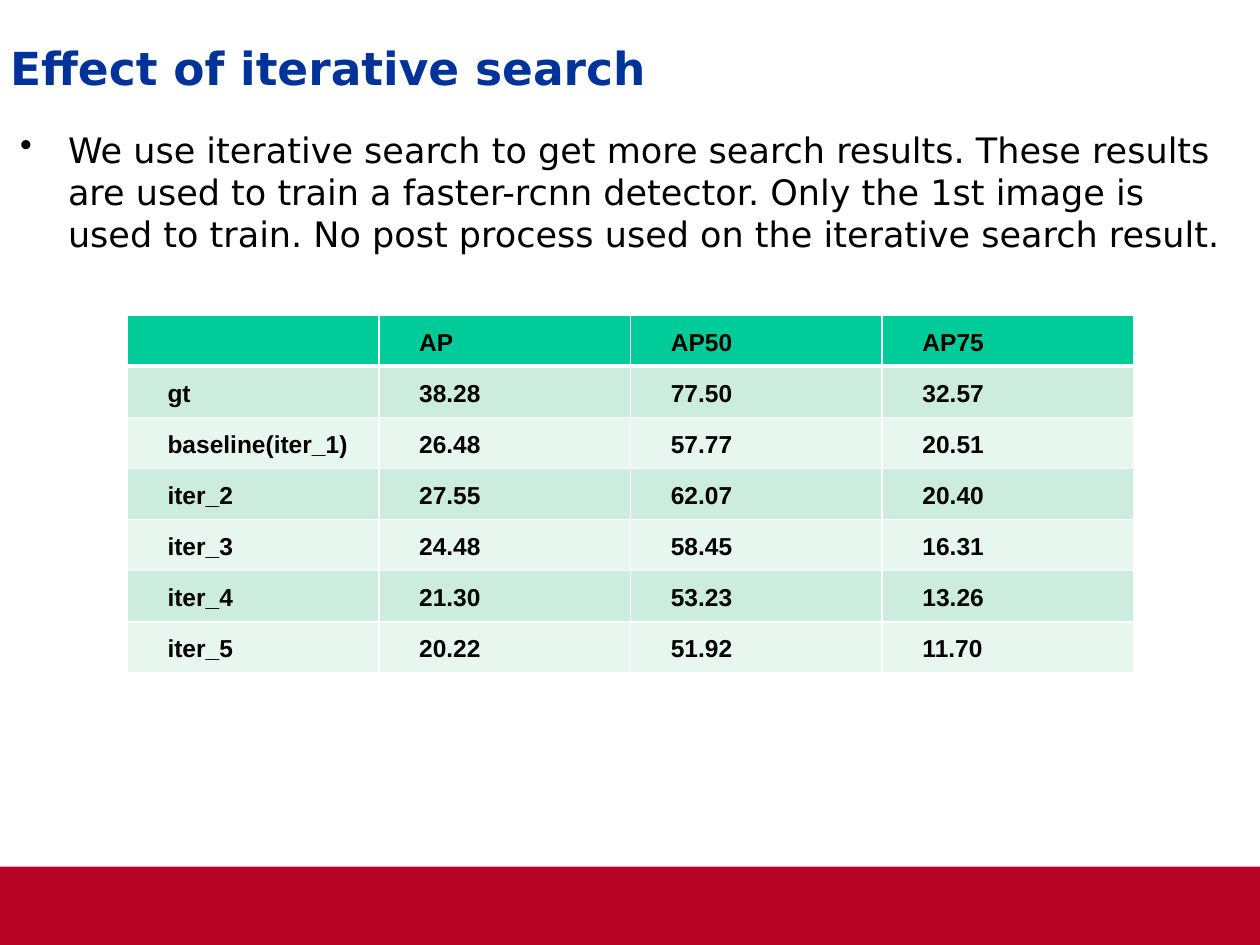
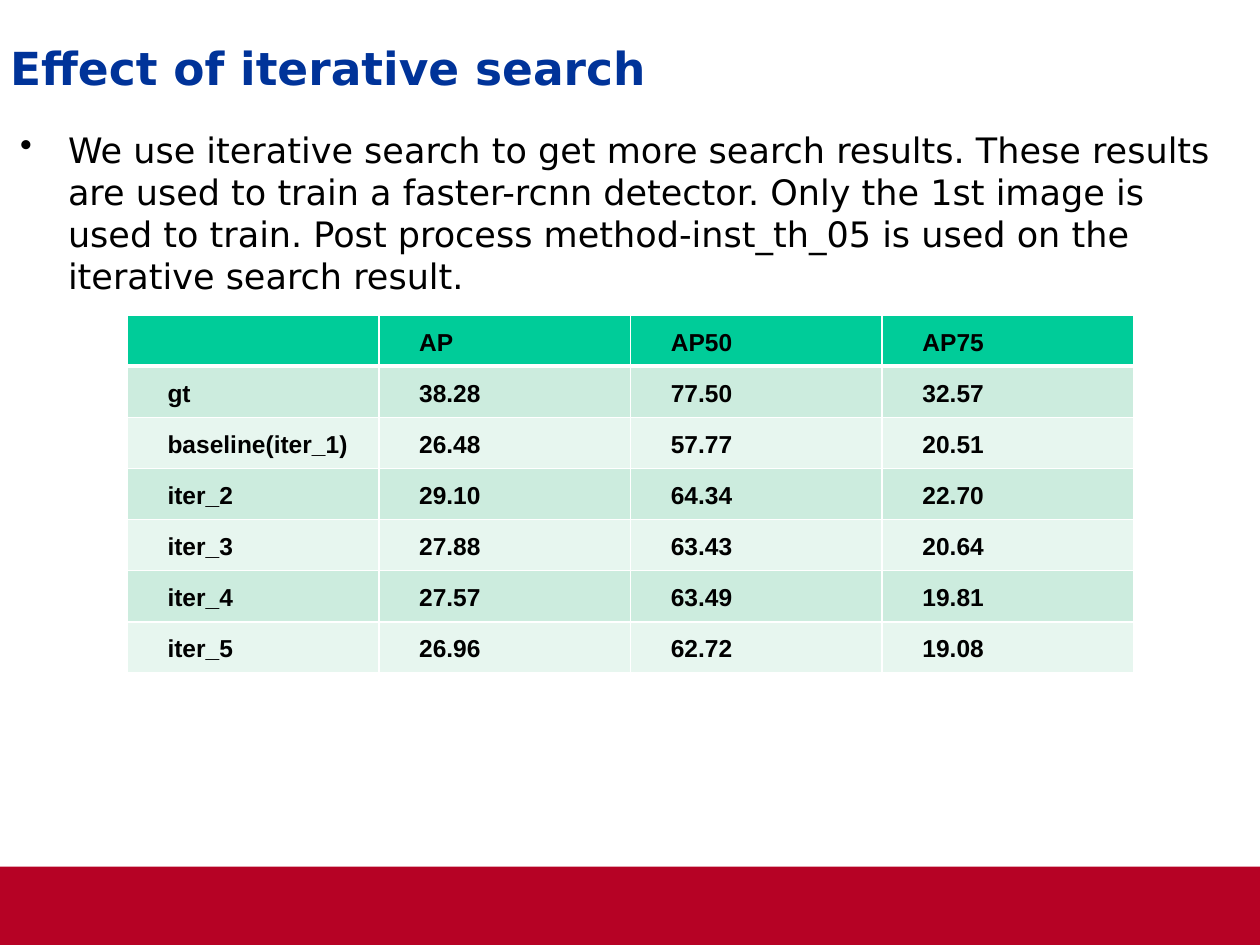
from dataclasses import dataclass

from lxml import etree
from pptx import Presentation
from pptx.dml.color import RGBColor
from pptx.enum.shapes import MSO_SHAPE
from pptx.enum.text import MSO_ANCHOR, PP_ALIGN
from pptx.oxml.ns import qn
from pptx.util import Emu, Inches, Pt

RECTANGLE = MSO_SHAPE.RECTANGLE
MIDDLE, TOP = MSO_ANCHOR.MIDDLE, MSO_ANCHOR.TOP
LEFT, JUSTIFIED = PP_ALIGN.LEFT, PP_ALIGN.JUSTIFY

SLIDE_WIDTH, SLIDE_HEIGHT = Inches(10), Inches(7.5)
WHITE, BLACK = "FFFFFF", "000000"
BAND_RED, TITLE_BLUE = "B60225", "003399"
HEADER_GREEN = "00CC99"
STRIPES = ("CCECDE", "E7F6EF")
TEXT_FONT, TABLE_FONT = "DejaVu Sans", "Arial"

TITLE = "Effect of iterative search"
SETUP = (
    "We use iterative search to get more search results. These results are used "
    "to train a faster-rcnn detector. Only the 1st image is used to train. "
)
HEADER = ("", "AP", "AP50", "AP75")
REFERENCE_ROWS = (
    ("gt", "38.28", "77.50", "32.57"),
    ("baseline(iter_1)", "26.48", "57.77", "20.51"),
)


@dataclass(frozen=True)
class Area:
    left: float
    top: float
    width: float
    height: float

    def lengths(self) -> tuple[Emu, Emu, Emu, Emu]:
        return (
            Emu(round(self.left * SLIDE_WIDTH)),
            Emu(round(self.top * SLIDE_HEIGHT)),
            Emu(round(self.width * SLIDE_WIDTH)),
            Emu(round(self.height * SLIDE_HEIGHT)),
        )


@dataclass(frozen=True)
class TextStyle:
    font: str
    size: int
    color: str
    bold: bool = False
    align: int = LEFT
    line_spacing: float = 1.0


@dataclass(frozen=True)
class Experiment:
    post_process: str
    iterations: tuple[tuple[str, str, str], ...]

    def rows(self) -> list[tuple[str, ...]]:
        numbered = [
            (f"iter_{number}", *scores)
            for number, scores in enumerate(self.iterations, start=2)
        ]
        return [HEADER, *REFERENCE_ROWS, *numbered]


TITLE_AREA = Area(0.008, 0.025, 0.977, 0.105)
BODY_AREA = Area(0.016, 0.136, 0.969, 0.708)
TABLE_AREA = Area(0.101, 1 / 3, 0.799, 0.379)
BAND_AREA = Area(0, 0.917, 1, 0.083)

TITLE_STYLE = TextStyle(TEXT_FONT, 26, TITLE_BLUE, bold=True, line_spacing=0.95)
BODY_STYLE = TextStyle(TEXT_FONT, 20, BLACK)
CELL_STYLE = TextStyle(
    TABLE_FONT, 14, BLACK, bold=True, align=JUSTIFIED, line_spacing=1.5
)

EXPERIMENTS = (
    Experiment(
        "No post process used on the iterative search result.",
        (
            ("27.55", "62.07", "20.40"),
            ("24.48", "58.45", "16.31"),
            ("21.30", "53.23", "13.26"),
            ("20.22", "51.92", "11.70"),
        ),
    ),
    Experiment(
        "Post process method-inst_th_05 is used on the iterative search result.",
        (
            ("29.10", "64.34", "22.70"),
            ("27.88", "63.43", "20.64"),
            ("27.57", "63.49", "19.81"),
            ("26.96", "62.72", "19.08"),
        ),
    ),
)


def rgb(color: str) -> RGBColor:
    return RGBColor.from_string(color)


def write(paragraph, text: str, style: TextStyle) -> None:
    paragraph.alignment = style.align
    paragraph.line_spacing = style.line_spacing
    run = paragraph.add_run()
    run.text = text
    run.font.name = style.font
    run.font.size = Pt(style.size)
    run.font.bold = style.bold
    run.font.color.rgb = rgb(style.color)


def indent(paragraph, margin: float, first_line: float = 0) -> None:
    properties = paragraph._p.get_or_add_pPr()
    properties.set("marL", str(Inches(margin)))
    properties.set("indent", str(Inches(first_line)))


def add_bullet(paragraph) -> None:
    indent(paragraph, 0.38, -0.38)
    properties = paragraph._p.get_or_add_pPr()
    etree.SubElement(properties, qn("a:buChar")).set("char", "•")


def add_text_area(slide, area: Area, anchor: int):
    frame = slide.shapes.add_textbox(*area.lengths()).text_frame
    frame.word_wrap = True
    frame.vertical_anchor = anchor
    frame.margin_left = frame.margin_top = 0
    frame.margin_right, frame.margin_bottom = Inches(0.1), Inches(0.05)
    return frame.paragraphs[0]


def add_band(slide) -> None:
    band = slide.shapes.add_shape(RECTANGLE, *BAND_AREA.lengths())
    band.shadow.inherit = False
    band.fill.solid()
    band.fill.fore_color.rgb = rgb(BAND_RED)
    band.line.fill.background()


def add_borders(cell, top: int, bottom: int) -> None:
    properties = cell._tc.get_or_add_tcPr()
    for side, points in (("L", 1), ("R", 1), ("T", top), ("B", bottom)):
        border = etree.SubElement(properties, qn(f"a:ln{side}"))
        border.set("w", str(Pt(points)))
        fill = etree.SubElement(border, qn("a:solidFill"))
        etree.SubElement(fill, qn("a:srgbClr")).set("val", WHITE)


def fill_cell(cell, text: str, row: int) -> None:
    add_borders(cell, 3 if row == 1 else 1, 3 if row == 0 else 1)
    cell.fill.solid()
    cell.fill.fore_color.rgb = rgb(STRIPES[(row - 1) % 2] if row else HEADER_GREEN)
    cell.margin_left = cell.margin_right = Inches(0.07)
    cell.margin_top = cell.margin_bottom = 0
    if text:
        paragraph = cell.text_frame.paragraphs[0]
        indent(paragraph, 0.25)
        write(paragraph, text, CELL_STYLE)


def add_scores(slide, rows: list[tuple[str, ...]]) -> None:
    scores = slide.shapes.add_table(
        len(rows), len(HEADER), *TABLE_AREA.lengths()
    ).table
    for row, values in enumerate(rows):
        for column, value in enumerate(values):
            fill_cell(scores.cell(row, column), value, row)


def add_experiment(presentation, experiment: Experiment) -> None:
    slide = presentation.slides.add_slide(presentation.slide_layouts[6])
    add_band(slide)
    write(add_text_area(slide, TITLE_AREA, MIDDLE), TITLE, TITLE_STYLE)
    add_scores(slide, experiment.rows())
    description = add_text_area(slide, BODY_AREA, TOP)
    add_bullet(description)
    description.space_after = Pt(3)
    write(description, SETUP + experiment.post_process, BODY_STYLE)


def main() -> None:
    presentation = Presentation()
    presentation.slide_width = SLIDE_WIDTH
    presentation.slide_height = SLIDE_HEIGHT
    for experiment in EXPERIMENTS:
        add_experiment(presentation, experiment)
    presentation.save("out.pptx")


if __name__ == "__main__":
    main()
